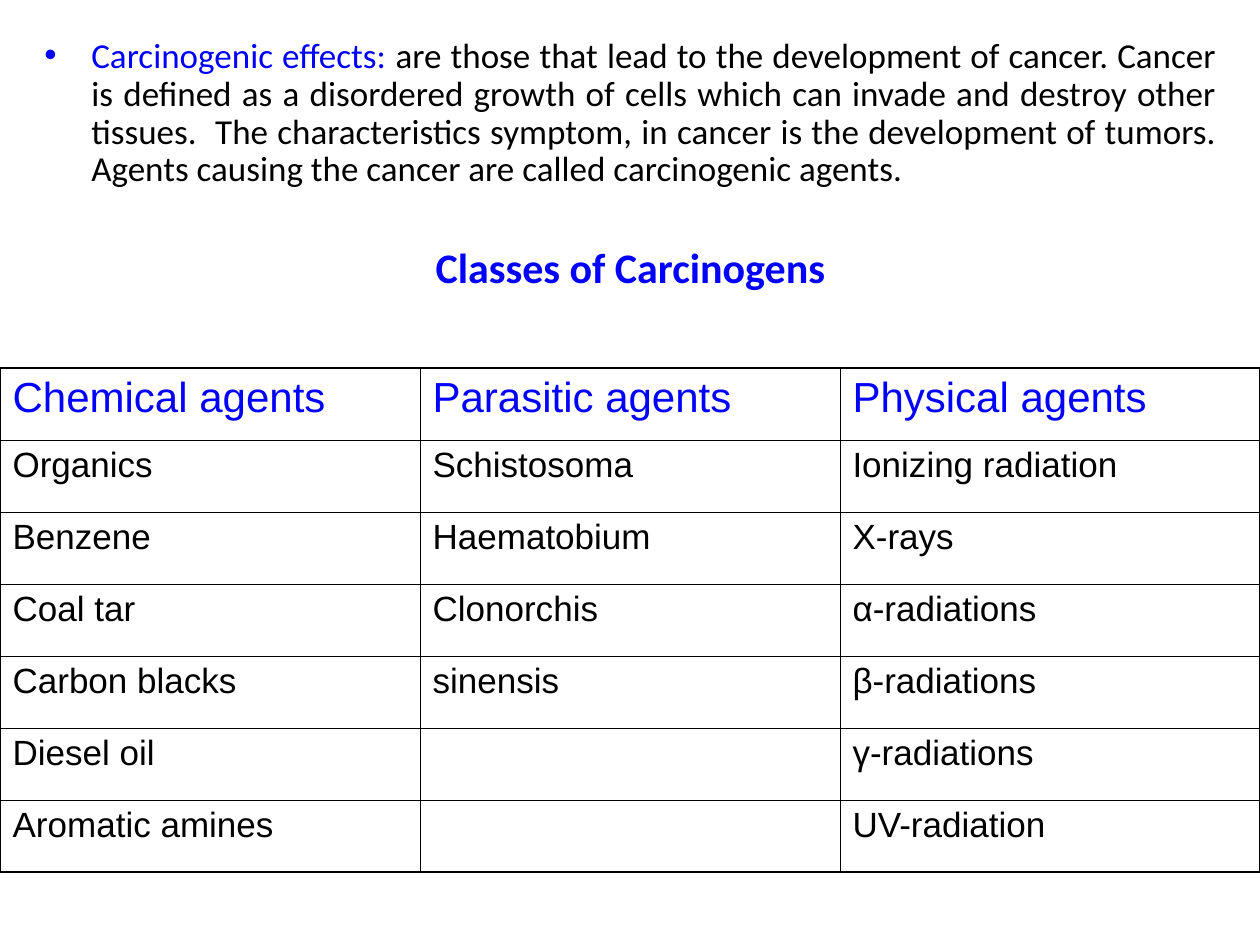
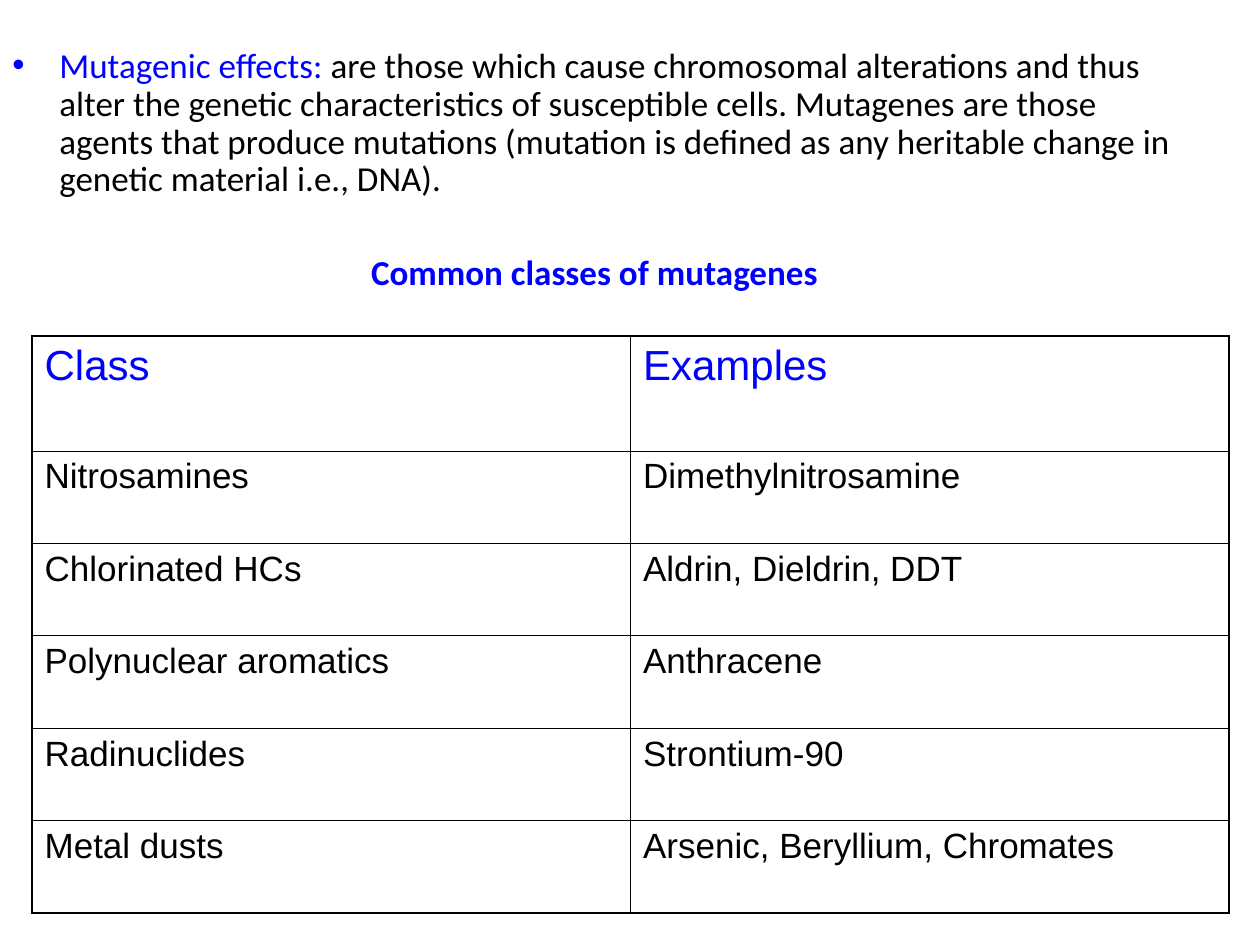
from lxml.etree import SubElement
from pptx import Presentation
from pptx.dml.color import RGBColor
from pptx.enum.text import PP_ALIGN
from pptx.oxml.ns import qn
from pptx.util import Pt

PX = 914400 / 126  # EMU in one px
WIDE, HIGH = 1260, 945
BLUE = RGBColor(0x00, 0x00, 0xFF)
BLACK = RGBColor(0x00, 0x00, 0x00)
WHITE = RGBColor(0xFF, 0xFF, 0xFF)
BODY, GRID = "Calibri", "Arial"
THICK, THIN = 1.08, 0.45


def px(n):
    return round(n * PX)


def add_run(para, text, face, size, color, bold=False):
    run = para.add_run()
    run.text = text
    font = run.font
    font.name, font.size, font.bold = face, Pt(size), bold
    font.color.rgb = color


def add_bullet(para, indent):
    props = para._p.get_or_add_pPr()
    props.set("marL", str(px(indent)))
    props.set("indent", str(-px(indent)))
    tint = SubElement(props, qn("a:buClr"))
    SubElement(tint, qn("a:srgbClr"), val=str(BLUE))
    SubElement(props, qn("a:buFont"), typeface=GRID)
    SubElement(props, qn("a:buChar"), char="•")


def add_intro(slide, box, term, text, align, title, size, gap):
    """Bulleted definition with the heading of the table below it."""
    frame = slide.shapes.add_textbox(*map(px, box)).text_frame
    frame.word_wrap = True

    # Definition
    para = frame.paragraphs[0]
    para.alignment, para.line_spacing = align, 0.9
    add_bullet(para, 47)
    add_run(para, term, BODY, 20, BLUE)
    add_run(para, text, BODY, 20, BLACK)

    # Heading
    head = frame.add_paragraph()
    head.alignment, head.line_spacing = PP_ALIGN.CENTER, 0.9
    head.space_before = Pt(gap)
    add_run(head, title, BODY, size, BLUE, True)


def set_edge(cell, side, width):
    props = cell._tc.get_or_add_tcPr()
    line = SubElement(props, qn("a:ln" + side), w=str(Pt(width)))
    fill = SubElement(line, qn("a:solidFill"))
    SubElement(fill, qn("a:srgbClr"), val=str(BLACK))


def add_grid(slide, box, top, rows):
    """Ruled table: a first row of height top, the others equal."""
    left, y, wide, high = box
    last, end = len(rows) - 1, len(rows[0]) - 1
    table = slide.shapes.add_table(
        last + 1, end + 1, px(left), px(y), px(wide), px(high)).table
    table.first_row = table.horz_banding = False
    for col in table.columns:
        col.width = px(wide / (end + 1))

    for r, row in enumerate(rows):
        table.rows[r].height = px((high - top) / last if r else top)
        size, color = (20, BLACK) if r else (24, BLUE)
        for c, text in enumerate(row):
            cell = table.cell(r, c)
            outer = {"L": c == 0, "R": c == end, "T": r == 0, "B": r == last}
            for side, edge in outer.items():
                set_edge(cell, side, THICK if edge else THIN)
            cell.fill.solid()
            cell.fill.fore_color.rgb = WHITE
            if text:
                add_run(cell.text_frame.paragraphs[0], text, GRID, size, color)


def add_slide(deck, intro, grid):
    slide = deck.slides.add_slide(deck.slide_layouts[6])
    add_intro(slide, **intro)
    add_grid(slide, **grid)


def main():
    deck = Presentation()
    deck.slide_width, deck.slide_height = px(WIDE), px(HIGH)

    # Carcinogens
    add_slide(
        deck,
        dict(box=(32, 32, 1197, 305),
             term="Carcinogenic effects: ",
             text="are those that lead to the development of cancer. Cancer is "
                  "defined as a disordered growth of cells which can invade and "
                  "destroy other tissues.  The characteristics symptom, in cancer "
                  "is the development of tumors. Agents causing the cancer are "
                  "called carcinogenic agents.",
             align=PP_ALIGN.JUSTIFY,
             title="Classes of Carcinogens", size=24, gap=33),
        dict(box=(0, 368, WIDE, 504), top=72, rows=[
            ("Chemical agents", "Parasitic agents", "Physical agents"),
            ("Organics", "Schistosoma", "Ionizing radiation"),
            ("Benzene", "Haematobium", "X-rays"),
            ("Coal tar", "Clonorchis", "α-radiations"),
            ("Carbon blacks", "sinensis", "β-radiations"),
            ("Diesel oil", "", "γ-radiations"),
            ("Aromatic amines", "", "UV-radiation"),
        ]))

    # Mutagenes
    add_slide(
        deck,
        dict(box=(0, 42, 1197, 315),
             term="Mutagenic effects: ",
             text="are those which cause chromosomal alterations and thus alter "
                  "the genetic characteristics of susceptible cells. Mutagenes "
                  "are those agents that produce mutations (mutation is defined "
                  "as any heritable change in genetic material i.e., DNA).",
             align=PP_ALIGN.LEFT,
             title="Common classes of mutagenes ", size=20, gap=32),
        dict(box=(32, 336, 1197, 577), top=115, rows=[
            ("Class", "Examples"),
            ("Nitrosamines", "Dimethylnitrosamine"),
            ("Chlorinated HCs", "Aldrin, Dieldrin, DDT"),
            ("Polynuclear aromatics", "Anthracene"),
            ("Radinuclides", "Strontium-90"),
            ("Metal dusts", "Arsenic, Beryllium, Chromates"),
        ]))

    deck.save("out.pptx")


if __name__ == "__main__":
    main()
